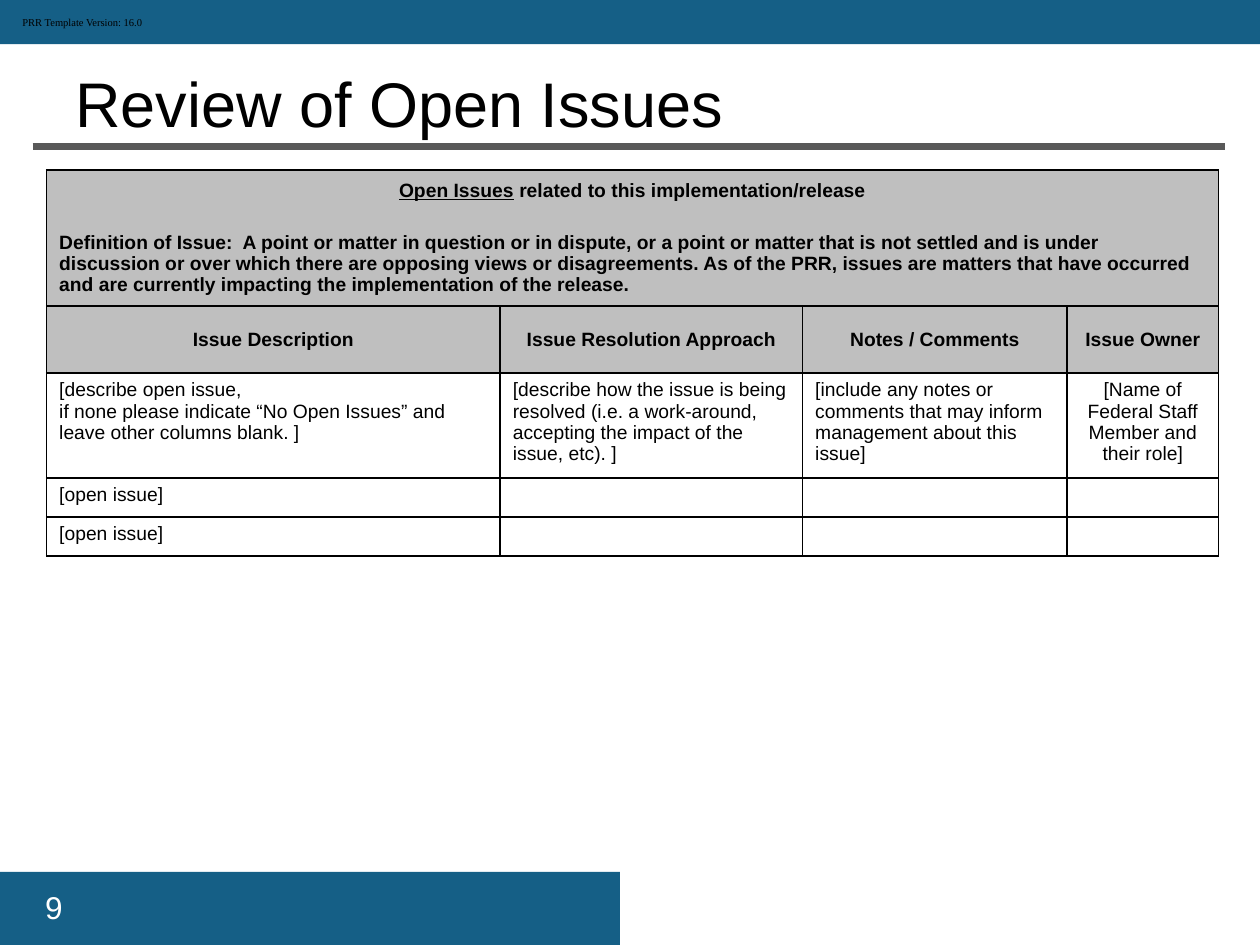
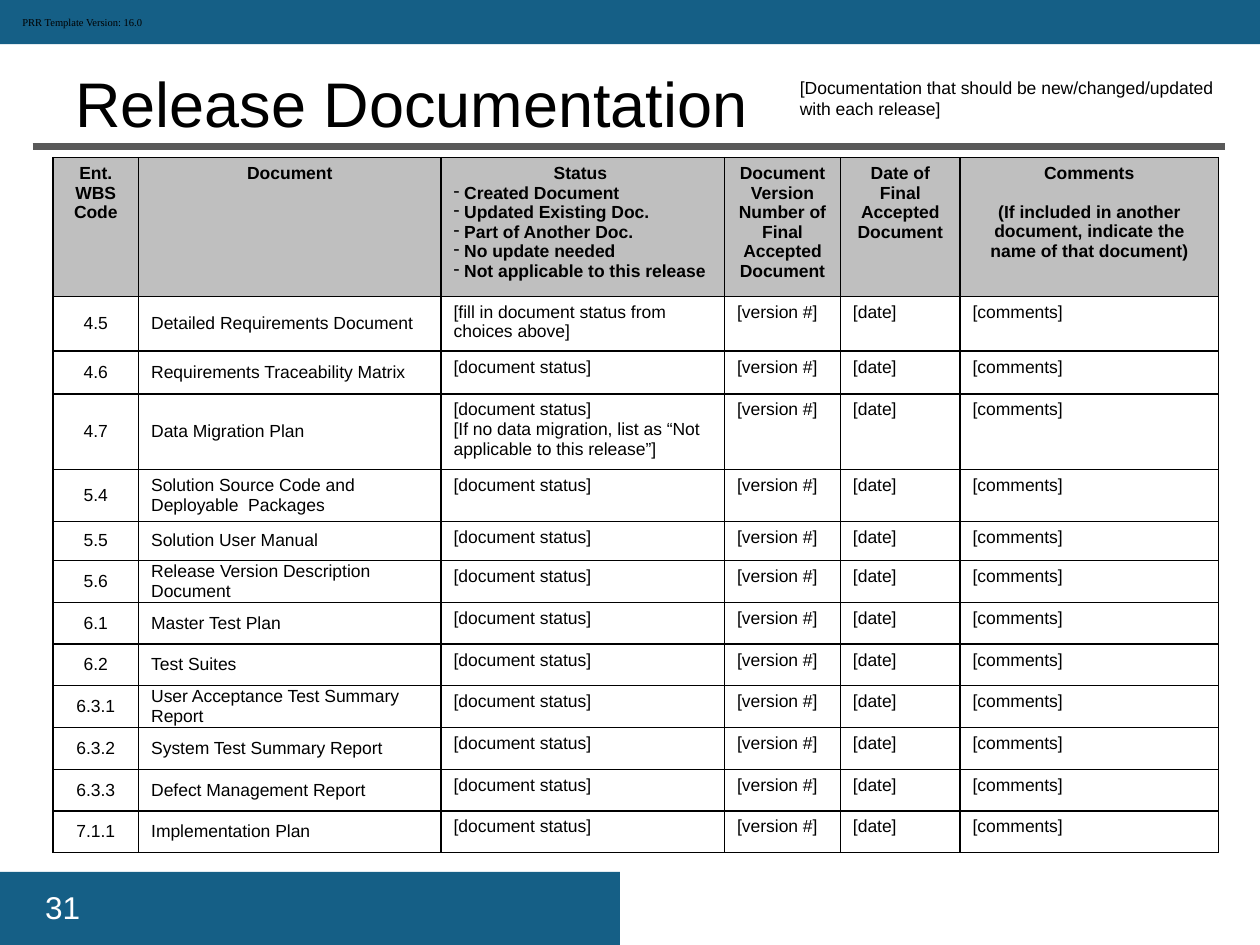
from lxml.etree import SubElement
from pptx import Presentation
from pptx.dml.color import RGBColor
from pptx.enum.shapes import MSO_CONNECTOR, MSO_SHAPE
from pptx.enum.text import MSO_ANCHOR, MSO_AUTO_SIZE, PP_ALIGN
from pptx.oxml.ns import qn
from pptx.util import Inches, Pt

BLUE = RGBColor(0x15, 0x5F, 0x86)
RULE_GRAY = RGBColor(0x59, 0x59, 0x59)
HEADER_GRAY = RGBColor(0xBF, 0xBF, 0xBF)
BLACK = RGBColor(0, 0, 0)
WHITE = RGBColor(0xFF, 0xFF, 0xFF)
SLIDE_WIDTH, SLIDE_HEIGHT = 10, 7.5
BANDS = [(0, 6.92, 4.92, 0.59), (-0.02, 0, 10.03, 0.35)]
VERSION = "PRR Template Version: 16.0"
NORMAL_INSETS = (0.1, 0.05, 0.1, 0.05)

ISSUE_HEADING = [("Open Issues", {"underline": True}),
                 (" related to this implementation/release", {})]
ISSUE_DEFINITION = (
    "Definition of Issue:  A point or matter in question or in dispute, or a point or matter "
    "that is not settled and is under discussion or over which there are opposing views or "
    "disagreements. As of the PRR, issues are matters that have occurred and are currently "
    "impacting the implementation of the release.")
ISSUE_COLUMNS = [("Issue Description", 3.6), ("Issue Resolution Approach", 2.4),
                 ("Notes / Comments", 2.1), ("Issue Owner", 1.2)]
ISSUES = [
    (["[describe open issue, ",
      "if none please indicate “No Open Issues” and leave other columns blank. ]"],
     ["[describe how the issue is being resolved (i.e. a work-around, accepting the impact "
      "of the issue, etc). ]"],
     ["[include any notes or comments that may inform management about this issue]"],
     ["[Name of Federal Staff Member and their role]"]),
    (["[open issue]"], [""], [""], [""]),
    (["[open issue]"], [""], [""], [""]),
]
ISSUE_ROWS = [1.08, 0.53, 0.83, 0.31, 0.31]

STATUS_CHOICES = ["Created Document", "Updated Existing Doc.", "Part of Another Doc.",
                  "No update needed", "Not applicable to this release"]
DOCUMENT_COLUMNS = [
    ("Ent. WBS Code", 0.68), ("Document", 2.4), ("Status ", 2.25),
    ("Document Version Number of Final Accepted Document", 0.92),
    ("Date of Final Accepted Document", 0.95), ("Comments", 2.05)]
COMMENTS_HINT = "(If included in another document, indicate the name of that document)"
DOCUMENTS = [
    ("4.5", "Detailed Requirements Document", 0.41),
    ("4.6", "Requirements Traceability Matrix", 0.34),
    ("4.7", "Data Migration Plan", 0.57),
    ("5.4", "Solution Source Code and Deployable  Packages", 0.41),
    ("5.5", "Solution User Manual", 0.31),
    ("5.6", "Release Version Description Document", 0.33),
    ("6.1", "Master Test Plan", 0.33),
    ("6.2", "Test Suites", 0.33),
    ("6.3.1", "User Acceptance Test Summary Report", 0.33),
    ("6.3.2", "System Test Summary Report", 0.33),
    ("6.3.3", "Defect Management Report", 0.33),
    ("7.1.1", "Implementation Plan", 0.33),
]
STATUS = "[document status]"
STATUS_NOTES = {
    "4.5": ["[fill in document status from choices above]"],
    "4.7": [STATUS, "[If no data migration, list as “Not applicable to this release”]"],
}
DOCUMENT_FIELDS = ["[version #]", "[date]", "[comments]"]
DOCUMENT_NOTE = "[Documentation that should be new/changed/updated with each release]"


def inches(values):
    return [Inches(value) for value in values]


def add_run(paragraph, text, size, color=BLACK, name="Arial", **formats):
    run = paragraph.add_run()
    run.text = text
    run.font.color.rgb = color
    for key, value in {"size": Pt(size), "name": name, **formats}.items():
        setattr(run.font, key, value)


def add_text(slide, box, text, size, wrap=True, anchor=MSO_ANCHOR.TOP, grow=True, **formats):
    frame = slide.shapes.add_textbox(*inches(box)).text_frame
    frame.word_wrap = wrap
    frame.vertical_anchor = anchor
    frame.auto_size = MSO_AUTO_SIZE.SHAPE_TO_FIT_TEXT if grow else MSO_AUTO_SIZE.NONE
    add_run(frame.paragraphs[0], text, size, **formats)


def add_page(presentation, title, number):
    slide = presentation.slides.add_slide(presentation.slide_layouts[6])
    for box in BANDS:
        band = slide.shapes.add_shape(MSO_SHAPE.RECTANGLE, *inches(box))
        band.shadow.inherit = False
        band.fill.solid()
        band.fill.fore_color.rgb = BLUE
        band.line.fill.background()
    rule = slide.shapes.add_connector(MSO_CONNECTOR.STRAIGHT, *inches((0.26, 1.16, 9.72, 1.16)))
    rule.line.color.rgb = RULE_GRAY
    rule.line.width = Pt(4)
    SubElement(rule._element.spPr, qn("a:effectLst"))
    add_text(slide, (0.26, 7, 2.19, 0.4), number, 18, color=WHITE)
    add_text(slide, (0.5, 0.45, 9.35, 0.71), title, 36, anchor=MSO_ANCHOR.BOTTOM, grow=False)
    add_text(slide, (0.08, 0.08, 1.17, 0.2), VERSION, 6, wrap=False, name="Times New Roman")
    return slide


def add_borders(cell):
    properties = cell._tc.get_or_add_tcPr()
    for side in ("lnL", "lnR", "lnT", "lnB"):
        line = SubElement(properties, qn(f"a:{side}"), w=str(Pt(1)))
        SubElement(SubElement(line, qn("a:solidFill")), qn("a:srgbClr"), val=str(BLACK))


def add_grid(slide, left, top, widths, heights):
    frame = slide.shapes.add_table(len(heights), len(widths),
                                   *inches((left, top, sum(widths), sum(heights))))
    table = frame.table
    table.first_row = table.horz_banding = False
    for column, width in zip(table.columns, widths):
        column.width = Inches(width)
    for row, height in zip(table.rows, heights):
        row.height = Inches(height)
    for cell in table.iter_cells():
        add_borders(cell)
        cell.fill.background()
    return table


def fill_cell(cell, paragraphs, size, header=False, align=PP_ALIGN.LEFT,
              anchor=MSO_ANCHOR.TOP, insets=NORMAL_INSETS):
    if header:
        cell.fill.solid()
        cell.fill.fore_color.rgb = HEADER_GRAY
    cell.vertical_anchor = anchor
    for side, inset in zip(("left", "top", "right", "bottom"), insets):
        setattr(cell, f"margin_{side}", Inches(inset))
    frame = cell.text_frame
    for index, content in enumerate(paragraphs):
        paragraph = frame.add_paragraph() if index else frame.paragraphs[0]
        paragraph.alignment = align
        runs = [(content, {})] if isinstance(content, str) else content
        for text, formats in runs:
            if text:
                add_run(paragraph, text, size, bold=header, **formats)
            else:
                paragraph._p.get_or_add_endParaRPr().set("sz", str(size * 100))
    return frame.paragraphs


def build_issues(presentation):
    slide = add_page(presentation, "Review of Open Issues", "9")
    table = add_grid(slide, 0.37, 1.35, [width for _, width in ISSUE_COLUMNS], ISSUE_ROWS)
    last = len(ISSUE_COLUMNS) - 1
    header = {"header": True, "align": PP_ALIGN.CENTER, "anchor": MSO_ANCHOR.MIDDLE}
    table.cell(0, 0).merge(table.cell(0, last))
    definition = fill_cell(table.cell(0, 0), [ISSUE_HEADING, ISSUE_DEFINITION], 11, **header)[1]
    definition.alignment = PP_ALIGN.LEFT
    definition.space_before = Pt(17)
    for column, (label, _) in enumerate(ISSUE_COLUMNS):
        fill_cell(table.cell(1, column), [label], 11, **header)
    for row, issue in enumerate(ISSUES, 2):
        for column, paragraphs in enumerate(issue):
            align = PP_ALIGN.CENTER if column == last else PP_ALIGN.LEFT
            fill_cell(table.cell(row, column), paragraphs, 11, align=align)


def build_documents(presentation):
    slide = add_page(presentation, "Release Documentation", "31")
    table = add_grid(slide, 0.42, 1.25, [width for _, width in DOCUMENT_COLUMNS],
                     [1.09] + [height for *_, height in DOCUMENTS])
    extra = {2: [f" {choice}" for choice in STATUS_CHOICES], 5: [COMMENTS_HINT]}
    for column, (label, _) in enumerate(DOCUMENT_COLUMNS):
        paragraphs = fill_cell(table.cell(0, column), [label] + extra.get(column, []), 10,
                               header=True, align=PP_ALIGN.CENTER)
        if column == 2:
            for paragraph in paragraphs[1:]:
                paragraph.alignment = PP_ALIGN.LEFT
                properties = paragraph._p.get_or_add_pPr()
                SubElement(properties, qn("a:buFontTx"))
                SubElement(properties, qn("a:buChar"), char="-")
        elif column == 5:
            paragraphs[1].space_before = Pt(11)
    middle = MSO_ANCHOR.MIDDLE
    for row, (code, name, _) in enumerate(DOCUMENTS, 1):
        fill_cell(table.cell(row, 0), [code], 10, align=PP_ALIGN.CENTER, anchor=middle,
                  insets=(0, 0, 0, 0))
        fill_cell(table.cell(row, 1), [name], 10, anchor=middle, insets=(0.1, 0, 0, 0))
        fill_cell(table.cell(row, 2), STATUS_NOTES.get(code, [STATUS]), 10)
        for column, field in enumerate(DOCUMENT_FIELDS, 3):
            fill_cell(table.cell(row, column), [field], 10)
    add_text(slide, (6.25, 0.56, 3.58, 0.44), DOCUMENT_NOTE, 10)


presentation = Presentation()
presentation.slide_width = Inches(SLIDE_WIDTH)
presentation.slide_height = Inches(SLIDE_HEIGHT)
build_issues(presentation)
build_documents(presentation)
presentation.save("out.pptx")
